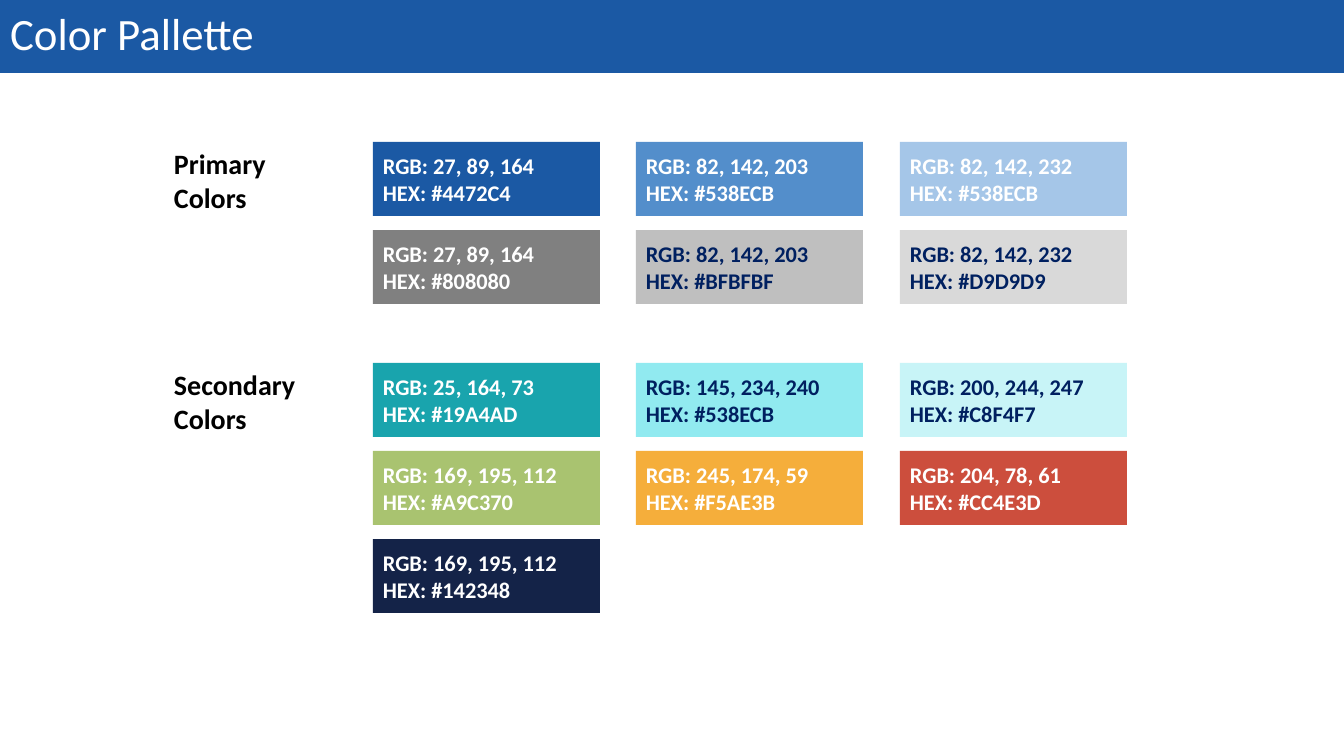
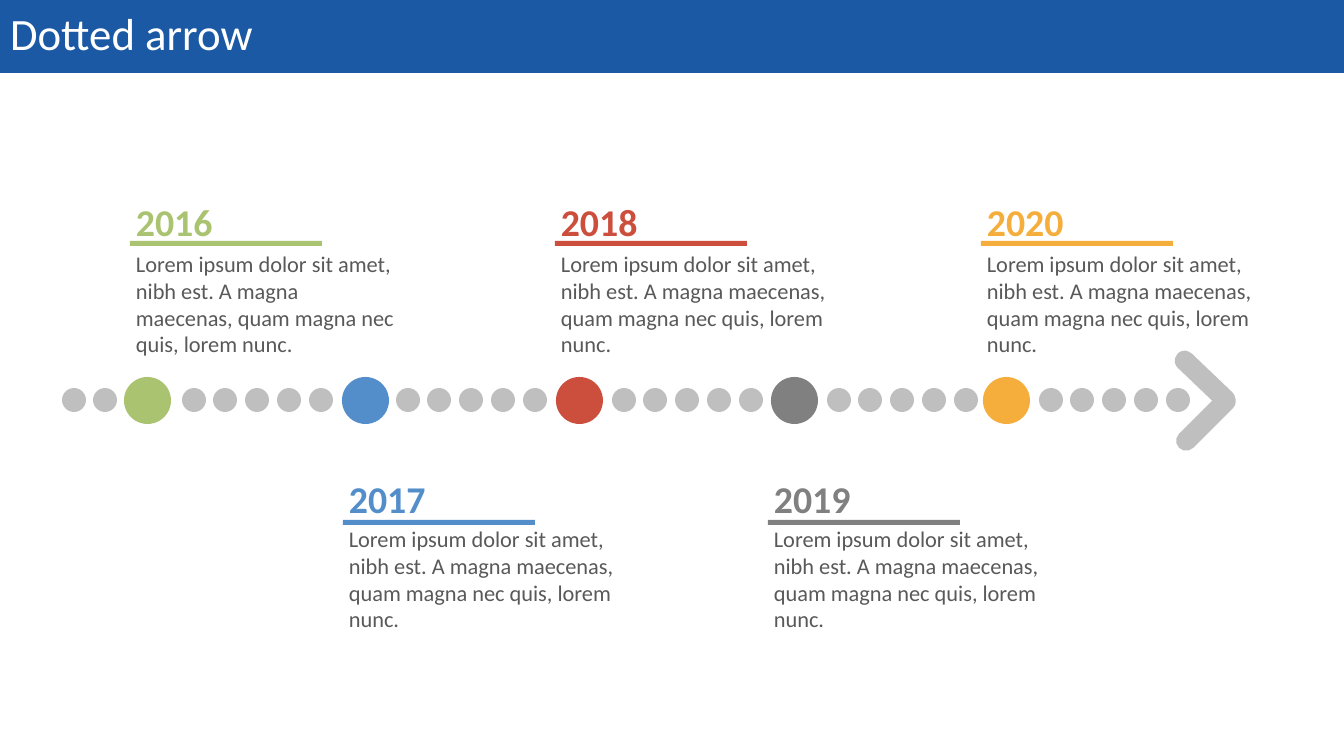
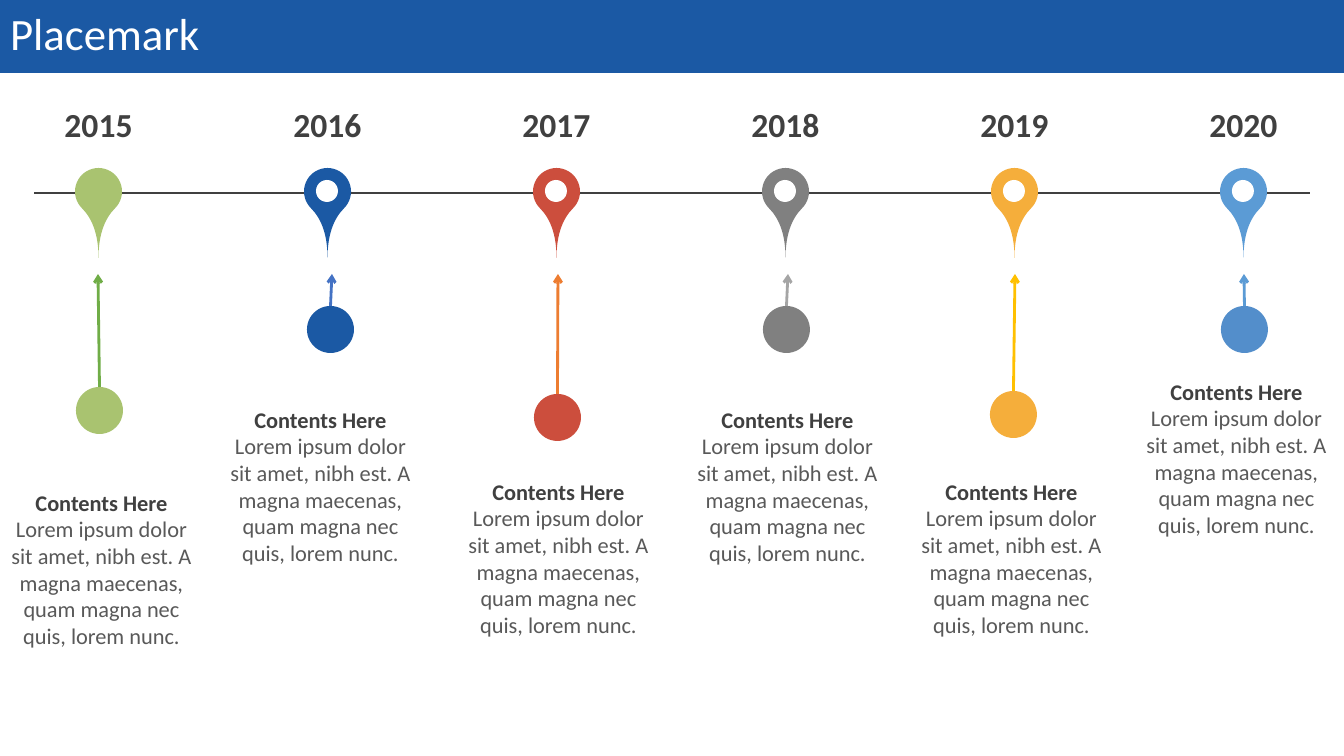
from lxml.etree import SubElement
from pptx import Presentation
from pptx.dml.color import RGBColor
from pptx.enum.shapes import MSO_CONNECTOR, MSO_SHAPE
from pptx.enum.text import MSO_ANCHOR, MSO_AUTO_SIZE, PP_ALIGN
from pptx.oxml.ns import qn
from pptx.util import Emu, Pt

EMU_PER_PX = 914400 / 100.8
SLIDE_WIDTH, SLIDE_HEIGHT = 1344, 756
TITLE_ONLY_LAYOUT = 5

FONT = "Calibri"
BLUE, SKY, PALE_BLUE, BRIGHT_BLUE = "1B59A4", "538ECB", "A5C6E8", "5B9BD5"
GRAY, SILVER, LIGHT_GRAY = "808080", "BFBFBF", "D9D9D9"
GREEN, RED, ORANGE = "A9C370", "CC4E3D", "F5AE3B"
TEAL, AQUA, PALE_AQUA, MIDNIGHT = "19A4AD", "91EAF0", "C8F4F7", "142348"
WHITE, BLACK, NAVY = "FFFFFF", "000000", "002060"
HEADING, BODY = "404040", "595959"

LOREM = ("Lorem ipsum dolor sit amet, nibh est. A magna maecenas, "
         "quam magna nec quis, lorem nunc.")


def px(length):
    return Emu(round(length * EMU_PER_PX))


def color(hex_code):
    return RGBColor.from_string(hex_code)


def write(frame, text, size=16, fill=BODY, bold=False, align=PP_ALIGN.LEFT,
          anchor=MSO_ANCHOR.TOP, line_spacing=None):
    """Fill a text frame, one paragraph per line of text."""
    frame.text = text
    frame.vertical_anchor = anchor
    for paragraph in frame.paragraphs:
        paragraph.alignment = align
        paragraph.line_spacing = line_spacing
        font = paragraph.runs[0].font
        font.name, font.size, font.bold = FONT, Pt(size), bold
        font.color.rgb = color(fill)


class Deck:
    """Holds the shared style and the slide being drawn."""

    def __init__(self):
        self.presentation = Presentation()
        self.presentation.slide_width = px(SLIDE_WIDTH)
        self.presentation.slide_height = px(SLIDE_HEIGHT)

    def new_slide(self, title_text):
        layout = self.presentation.slide_layouts[TITLE_ONLY_LAYOUT]
        self.slide = self.presentation.slides.add_slide(layout)
        self.shapes = self.slide.shapes
        title = self.slide.shapes.title
        title.left, title.top = px(0), px(0)
        title.width, title.height = px(SLIDE_WIDTH), px(73)
        title.fill.solid()
        title.fill.fore_color.rgb = color(BLUE)
        title.text_frame.auto_size = MSO_AUTO_SIZE.NONE
        write(title.text_frame, title_text, size=32, fill=WHITE,
              anchor=MSO_ANCHOR.MIDDLE, line_spacing=0.9)

    def start_group(self):
        self.shapes = self.slide.shapes.add_group_shape().shapes

    def end_group(self):
        self.shapes = self.slide.shapes

    def shape(self, kind, left, top, width, height, fill, rotation=0, adjustment=None):
        shape = self.shapes.add_shape(kind, px(left), px(top), px(width), px(height))
        shape.shadow.inherit = False
        shape.fill.solid()
        shape.fill.fore_color.rgb = color(fill)
        shape.line.fill.background()
        shape.rotation = rotation
        if adjustment is not None:
            shape.adjustments[0] = adjustment
        return shape

    def rectangle(self, left, top, width, height, fill):
        return self.shape(MSO_SHAPE.RECTANGLE, left, top, width, height, fill)

    def circle(self, left, top, diameter, fill):
        return self.shape(MSO_SHAPE.OVAL, left, top, diameter, diameter, fill)

    def text(self, left, top, width, height, text, wrap=True, margin=None, **style):
        box = self.shapes.add_textbox(px(left), px(top), px(width), px(height))
        frame = box.text_frame
        frame.word_wrap = wrap
        frame.auto_size = MSO_AUTO_SIZE.SHAPE_TO_FIT_TEXT
        if margin is not None:
            frame.margin_left = frame.margin_right = px(margin)
            frame.margin_top = frame.margin_bottom = px(margin)
        write(frame, text, **style)

    def line(self, start, end, stroke, weight, arrow=False):
        connector = self.shapes.add_connector(
            MSO_CONNECTOR.STRAIGHT, *(px(value) for value in (*start, *end)))
        connector.line.color.rgb = color(stroke)
        connector.line.width = Pt(weight)
        properties = connector.element.spPr
        if arrow:
            SubElement(properties.find(qn("a:ln")), qn("a:tailEnd"), type="arrow")
        SubElement(properties, qn("a:effectLst"))
        return connector


def draw_palette(deck):
    deck.new_slide("Color Pallette")
    sections = [
        ("Primary\nColors", 142, 113, [
            (BLUE, WHITE, "27, 89, 164", "4472C4"),
            (SKY, WHITE, "82, 142, 203", "538ECB"),
            (PALE_BLUE, WHITE, "82, 142, 232", "538ECB"),
            (GRAY, WHITE, "27, 89, 164", "808080"),
            (SILVER, NAVY, "82, 142, 203", "BFBFBF"),
            (LIGHT_GRAY, NAVY, "82, 142, 232", "D9D9D9"),
        ]),
        ("Secondary\nColors", 363, 143, [
            (TEAL, WHITE, "25, 164, 73", "19A4AD"),
            (AQUA, NAVY, "145, 234, 240", "538ECB"),
            (PALE_AQUA, NAVY, "200, 244, 247", "C8F4F7"),
            (GREEN, WHITE, "169, 195, 112", "A9C370"),
            (ORANGE, WHITE, "245, 174, 59", "F5AE3B"),
            (RED, WHITE, "204, 78, 61", "CC4E3D"),
            (MIDNIGHT, WHITE, "169, 195, 112", "142348"),
        ]),
    ]
    for label, top, label_width, swatches in sections:
        deck.text(164, top, label_width, 78, label, wrap=False,
                  size=20, fill=BLACK, bold=True)
        for index, (fill, text_fill, rgb_text, hex_text) in enumerate(swatches):
            row, column = divmod(index, 3)
            swatch = deck.rectangle(373 + 527 * column // 2, top + 88 * row, 227, 74, fill)
            write(swatch.text_frame, f"RGB: {rgb_text}\nHEX: #{hex_text}",
                  fill=text_fill, bold=True, anchor=MSO_ANCHOR.MIDDLE)


def draw_dotted_arrow(deck):
    deck.new_slide("Dotted arrow")
    # year, colour, text width, milestone left, left of the dots that follow
    milestones = [
        ("2016", GREEN, 283, 124, 182),
        ("2017", SKY, 304, 342, 396),
        ("2018", RED, 291, 556, 612),
        ("2019", GRAY, 299, 771, 827),
        ("2020", ORANGE, 305, 983, 1039),
    ]
    for index, (year, fill, width, _, _) in enumerate(milestones):
        left = 126 + round(index * 212.7)
        year_top, rule_top, body_top = (471, 520, 520) if index % 2 else (194, 241, 245)
        deck.start_group()
        deck.text(left, year_top, 202, 56, year, size=27, fill=fill, bold=True)
        deck.text(left, body_top, width, 119, LOREM)
        deck.rectangle(left + 4, rule_top, 192, 5, fill)
        deck.end_group()

    deck.start_group()
    dot_runs = [(62, 2)] + [(dots_left, 5) for *_, dots_left in milestones]
    for dots_left, count in dot_runs:
        for index in range(count):
            deck.circle(dots_left + 127 * index // 4, 388, 24, SILVER)
    for left, top, rotation in [(1167, 370, 43.7), (1168, 411, 315)]:
        deck.shape(MSO_SHAPE.ROUNDED_RECTANGLE, left, top, 76, 20, SILVER,
                   rotation=rotation, adjustment=0.5)
    for _, fill, _, milestone_left, _ in milestones:
        deck.circle(milestone_left, 377, 47, fill)
    deck.end_group()


def draw_placemarks(deck):
    deck.new_slide("Placemark")
    deck.line((1310, 193), (34, 193), HEADING, 1.75)
    # pin, hole, circle and arrow colours; circle left, top; arrow tip; text left, top
    placemarks = [
        (GREEN, GREEN, GREEN, "70AD47", 76, 387, 98, -6, 484),
        (BLUE, WHITE, BLUE, "4472C4", 307, 306, 332, 213, 401),
        (RED, WHITE, RED, "ED7D31", 534, 394, 558, 451, 473),
        (GRAY, WHITE, GRAY, "A5A5A5", 763, 306, 788, 680, 401),
        (ORANGE, WHITE, ORANGE, "FFC000", 990, 391, 1015, 904, 473),
        (BRIGHT_BLUE, WHITE, SKY, "5B9BD5", 1221, 306, 1244, 1129, 373),
    ]
    for index, (pin_fill, hole_fill, circle_fill, arrow_fill, circle_left,
                circle_top, tip_left, text_left, text_top) in enumerate(placemarks):
        pin_left = 75 + 229 * index
        deck.start_group()
        deck.shape(MSO_SHAPE.TEAR, pin_left, 168, 47, 47, pin_fill,
                   rotation=135, adjustment=2)
        deck.circle(pin_left + 12, 180, 22, hole_fill)
        deck.text(pin_left - 37, 104, 121, 40, str(2015 + index), margin=0,
                  size=24, fill=HEADING, bold=True, align=PP_ALIGN.CENTER)
        deck.end_group()

        circle = deck.circle(circle_left, circle_top, 47, circle_fill)
        arrow = deck.line((tip_left, circle_top), (tip_left, 274), arrow_fill, 2, arrow=True)
        arrow.begin_connect(circle, 0)
        deck.text(text_left, text_top + 26, 215, 146, LOREM, align=PP_ALIGN.CENTER)
        deck.text(text_left, text_top, 215, 37, "Contents Here",
                  fill=HEADING, bold=True, align=PP_ALIGN.CENTER)


def main():
    deck = Deck()
    draw_palette(deck)
    draw_dotted_arrow(deck)
    draw_placemarks(deck)
    deck.presentation.save("out.pptx")


if __name__ == "__main__":
    main()
